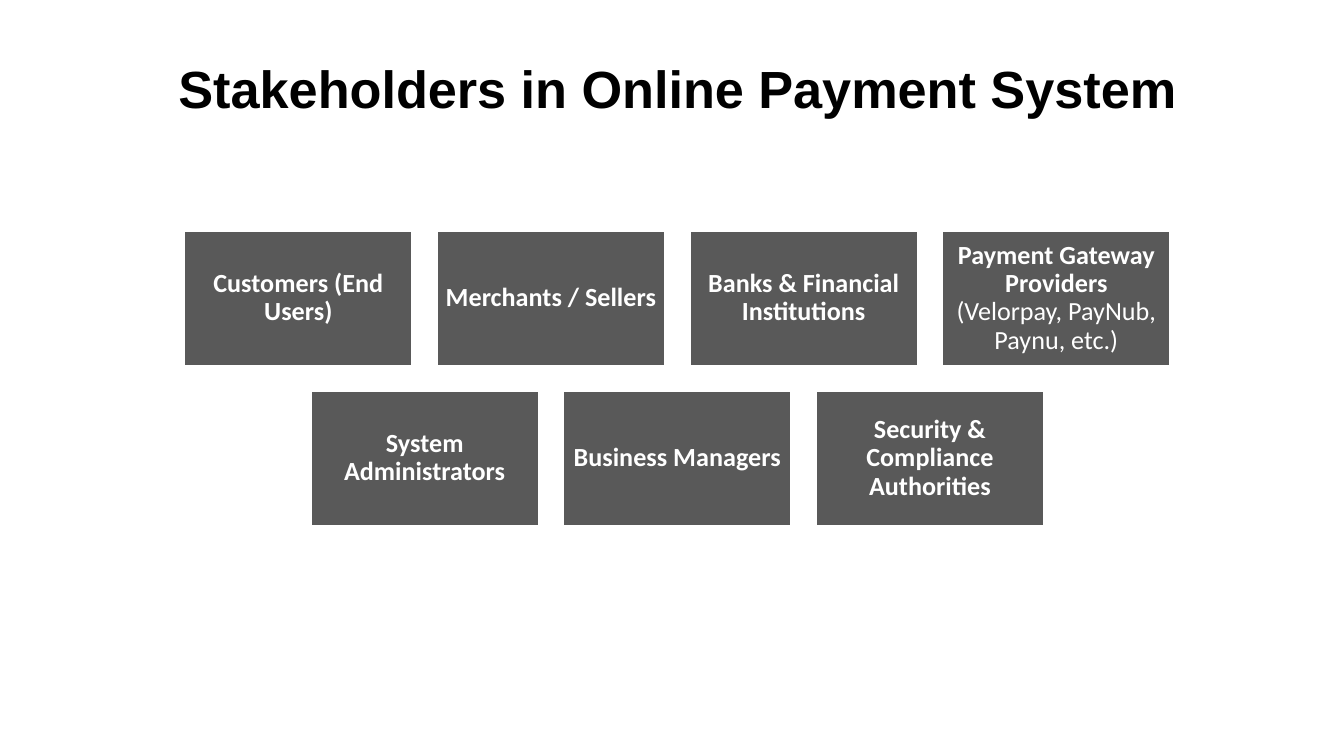
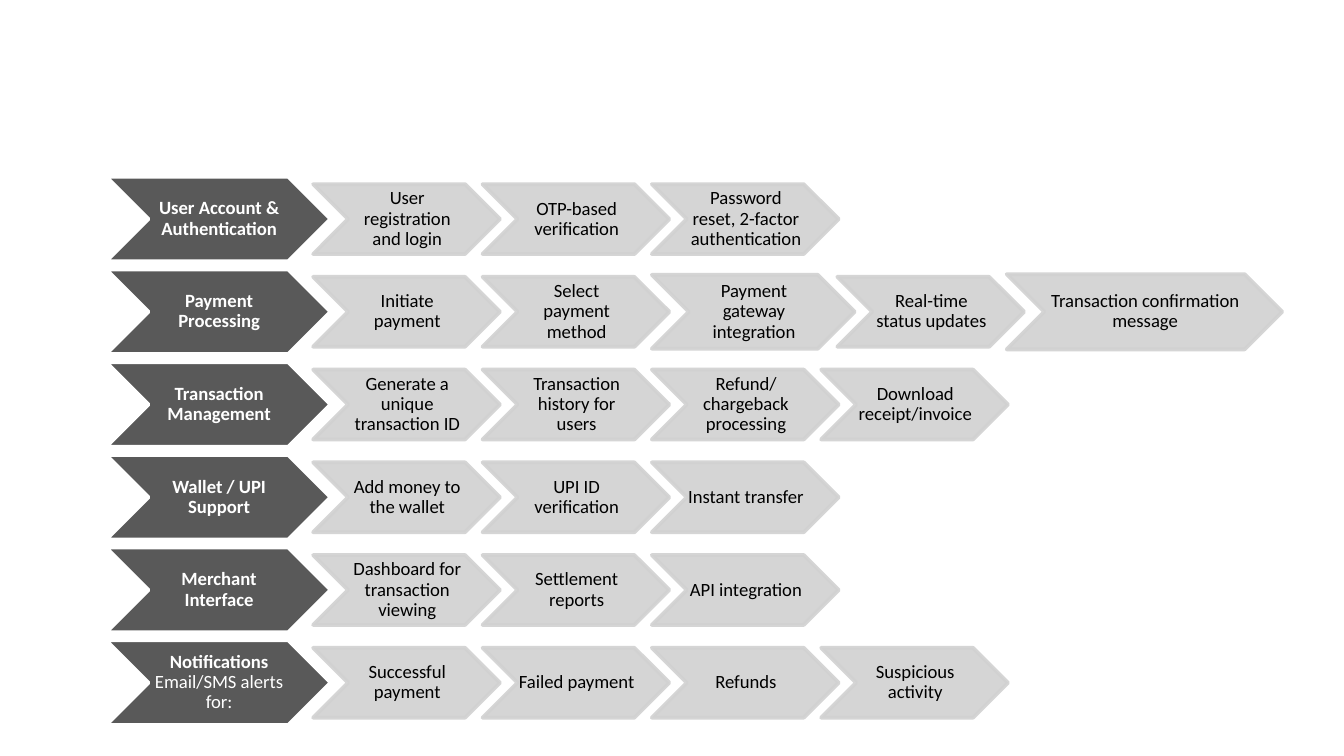
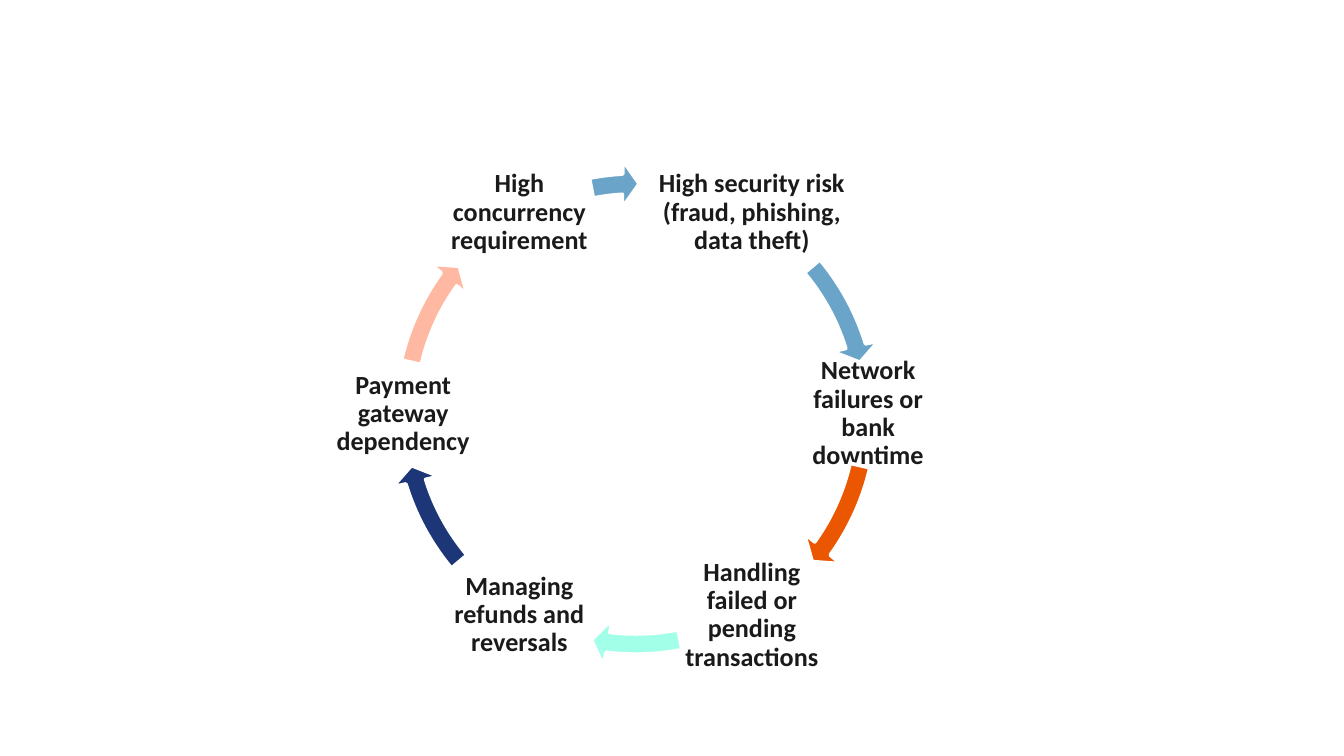
"""Build three slides about an online payment system."""
import math

import lxml.etree
import pptx
import pptx.dml.color
import pptx.enum.shapes
import pptx.enum.text
import pptx.oxml.ns
import pptx.util

Inches = pptx.util.Inches
Kind = pptx.enum.shapes.MSO_SHAPE
COLORS = {
    "black": "000000", "ink": "1A1A1A", "white": "FFFFFF",
    "dark": "595959", "pale": "D1D1D1", "blue": "6AA4C8",
    "orange": "EB5600", "mint": "A2FFE8", "navy": "1C3678", "peach": "FFB8A2",
}


def color(name):
    return pptx.dml.color.RGBColor.from_string(COLORS[name])


def write(frame, text, tail="", size=14, font="Calibri", ink="white",
          bold=True, inset=0.06, right=None, space=0.9):
    frame.word_wrap = True
    frame.vertical_anchor = pptx.enum.text.MSO_ANCHOR.MIDDLE
    frame.margin_left = frame.margin_top = Inches(inset)
    frame.margin_bottom = Inches(inset)
    frame.margin_right = Inches(inset if right is None else right)
    para = frame.paragraphs[0]
    para.alignment = pptx.enum.text.PP_ALIGN.CENTER
    para.line_spacing = space
    for words, heavy in ((text, bold), (tail, False)):
        if words:
            run = para.add_run()
            run.text = words
            run.font.size = pptx.util.Pt(size)
            run.font.name = font
            run.font.bold = heavy
            run.font.color.rgb = color(ink)


class Deck:
    def __init__(self):
        self.file = pptx.Presentation()
        self.file.slide_width = Inches(10)
        self.file.slide_height = Inches(10) * 9 // 16
        self.slide = None

    def add(self, title=None):
        layout = self.file.slide_layouts[5 if title else 6]
        self.slide = self.file.slides.add_slide(layout)
        if title:
            head = self.slide.shapes.title
            head.left, head.top = Inches(1.03), Inches(0.37)
            head.width, head.height = Inches(8.02), Inches(0.57)
            write(head.text_frame, title, size=28, font="Arial",
                  ink="black", inset=0.1, space=1)
            head.text_frame.auto_size = pptx.enum.text.MSO_AUTO_SIZE.NONE

    def shape(self, kind, x, y, w, h, fill, line="white", alpha=None):
        item = self.slide.shapes.add_shape(
            kind, Inches(x), Inches(y), Inches(w), Inches(h))
        item.shadow.inherit = False
        item.fill.solid()
        item.fill.fore_color.rgb = color(fill)
        item.line.color.rgb = color(line)
        item.line.width = pptx.util.Pt(2)
        if alpha:
            qn = pptx.oxml.ns.qn
            for node in list(item.element.iter(qn("a:srgbClr"))):
                lxml.etree.SubElement(
                    node, qn("a:alpha"), val=str(alpha * 1000))
        return item

    def box(self, x, y, w, h, text, tail=""):
        item = self.shape(Kind.RECTANGLE, x, y, w, h, "dark")
        write(item.text_frame, text, tail)

    def head(self, x, mid, w, h, text, tail=""):
        item = self.shape(Kind.CHEVRON, x, mid - h / 2, w, h, "dark")
        write(item.text_frame, text, tail, size=10, inset=0.01, right=0)

    def step(self, x, mid, w, h, text):
        item = self.shape(Kind.CHEVRON, x, mid - h / 2, w, h,
                          "pale", line="pale", alpha=90)
        write(item.text_frame, text, size=10, ink="black",
              bold=False, inset=0.01, right=0)

    def label(self, x, y, w, h, text):
        item = self.slide.shapes.add_textbox(
            Inches(x), Inches(y), Inches(w), Inches(h))
        write(item.text_frame, text, ink="ink", inset=0.02)

    def arc(self, x, y, size, start, end, fill):
        item = self.shape(Kind.CIRCULAR_ARROW, x, y, size, size, fill)
        values = (4, 250.5, end * 60, start * 60, 4.7)
        for i, value in enumerate(values):
            item.adjustments[i] = value / 100


def parties(deck):
    deck.add("Stakeholders in Online Payment System")
    rows = (
        (("Customers (End Users)",), ("Merchants / Sellers",),
         ("Banks & Financial Institutions",),
         ("Payment Gateway Providers", " (Velorpay, PayNub, Paynu, etc.)")),
        (("System Administrators",), ("Business Managers",),
         ("Security & Compliance Authorities",)),
    )
    wide, high, gap, mid = 1.71, 1.02, 0.17, 5.04
    for r, row in enumerate(rows):
        left = mid - (len(row) * (wide + gap) - gap) / 2
        for c, words in enumerate(row):
            deck.box(left + c * (wide + gap), 1.71 + r * 1.19,
                     wide, high, *words)


def features(deck):
    deck.add()
    rows = (
        (("User Account & Authentication",),
         ("User registration and login", "OTP-based verification",
          "Password reset, 2-factor authentication")),
        (("Payment Processing",),
         ("Initiate payment", "Select payment method",
          "Payment gateway integration", "Real-time status updates",
          "Transaction confirmation message")),
        (("Transaction Management",),
         ("Generate a unique transaction ID", "Transaction history for users",
          "Refund/chargeback processing", "Download receipt/invoice")),
        (("Wallet / UPI Support",),
         ("Add money to the wallet", "UPI ID verification",
          "Instant transfer")),
        (("Merchant Interface",),
         ("Dashboard for transaction viewing", "Settlement reports",
          "API integration")),
        (("Notifications ", "Email/SMS alerts for:"),
         ("Successful payment", "Failed payment", "Refunds",
          "Suspicious activity")),
    )
    sizes = {"Payment gateway integration": (1.51, 0.55),
             "Transaction confirmation message": (2.05, 0.56)}
    for r, (words, steps) in enumerate(rows):
        mid = 1.63 + r * 0.69
        deck.head(0.79, mid, 1.67, 0.63, *words)
        x = 2.33
        for text in steps:
            wide, high = sizes.get(text, (1.39, 0.52))
            deck.step(x, mid, wide, high, text)
            x += wide - 0.13


def issues(deck):
    deck.add()
    ring = (
        ("High security risk (fraud, phishing, data theft)",
         1.67, 320.07, 342.87, "blue"),
        ("Network failures or bank downtime", 1.06, 12.95, 35.76, "orange"),
        ("Handling failed or pending transactions",
         1.06, 78.89, 96.94, "mint"),
        ("Managing refunds and reversals", 1.06, 140.07, 162.87, "navy"),
        ("Payment gateway dependency", 1.06, 192.95, 215.76, "peach"),
        ("High concurrency requirement", 1.06, 258.89, 266.71, "blue"),
    )
    mid, size, reach, high = (4.73, 3.08), 3.78, 1.73, 0.77
    for i, (text, wide, start, end, fill) in enumerate(ring):
        turn = math.radians(60 * i - 60)
        x = mid[0] + reach * math.cos(turn) - wide / 2
        y = mid[1] + reach * math.sin(turn) - high / 2
        deck.label(x, y, wide, high, text)
        deck.arc(mid[0] - size / 2, mid[1] - size / 2, size,
                 start, end, fill)


def main():
    deck = Deck()
    parties(deck)
    features(deck)
    issues(deck)
    deck.file.save("out.pptx")


if __name__ == "__main__":
    main()
